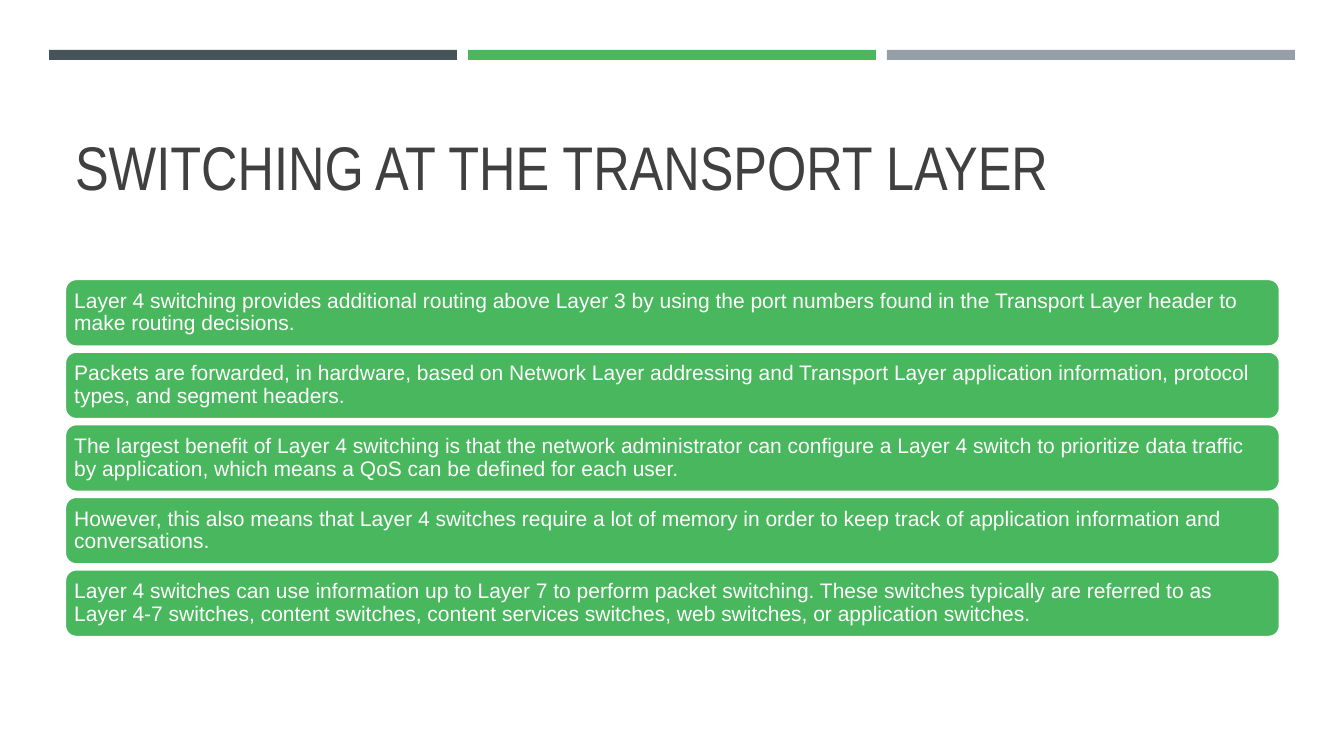
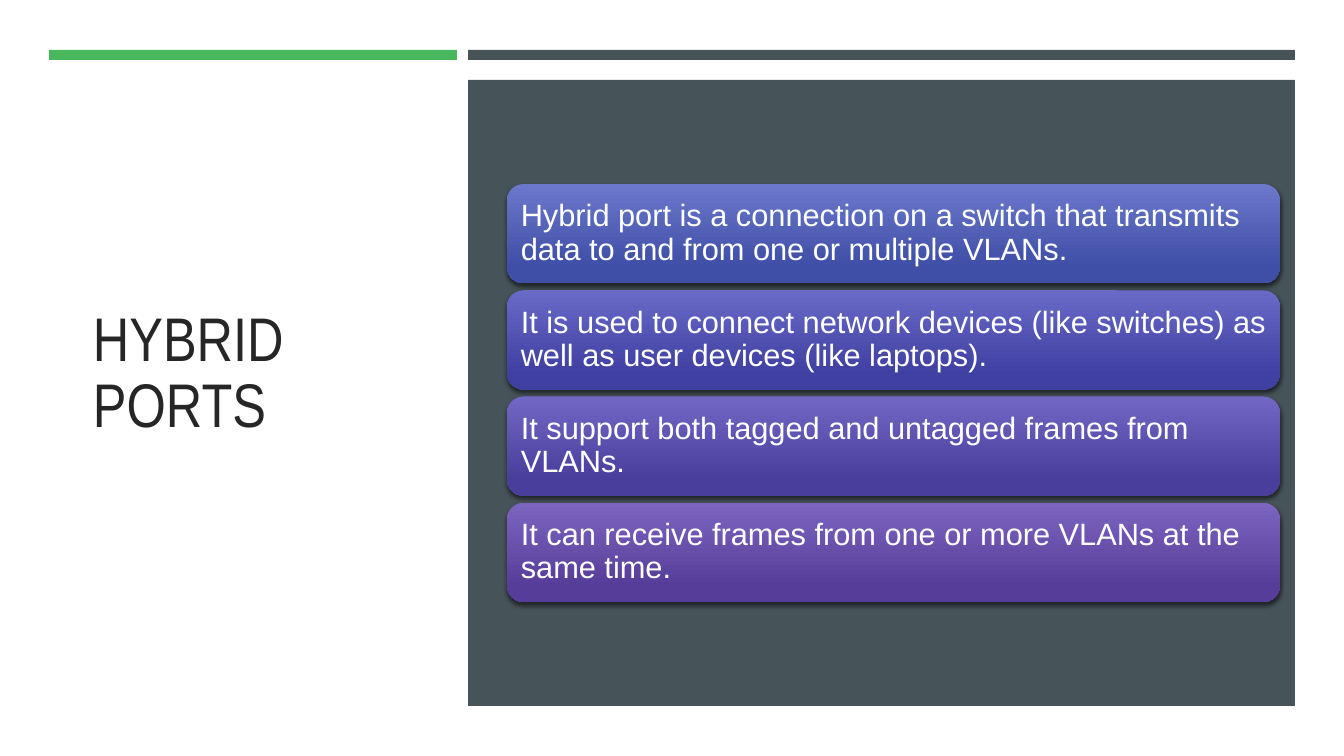
from pptx import Presentation
from pptx.dml.color import RGBColor
from pptx.enum.shapes import MSO_SHAPE
from pptx.enum.text import MSO_ANCHOR, MSO_AUTO_SIZE, PP_ALIGN
from pptx.oxml import parse_xml
from pptx.oxml.ns import nsdecls
from pptx.util import Emu, Pt

WHITE = RGBColor(0xFF, 0xFF, 0xFF)
SLATE = RGBColor(0x46, 0x53, 0x59)
GREEN = RGBColor(0x48, 0xB7, 0x5D)
GREY = RGBColor(0x96, 0x9F, 0xA7)
DARK = RGBColor(0x40, 0x40, 0x40)
INK = RGBColor(0x26, 0x26, 0x26)

LAYERS = [
    "Layer 4 switching provides additional routing above Layer 3 by using the port numbers found in the Transport Layer header to make routing decisions.",
    "Packets are forwarded, in hardware, based on Network Layer addressing and Transport Layer application information, protocol types, and segment headers.",
    "The largest benefit of Layer 4 switching is that the network administrator can configure a Layer 4 switch to prioritize data traffic by application, which means a QoS can be defined for each user.",
    "However, this also means that Layer 4 switches require a lot of memory in order to keep track of application information and conversations.",
    "Layer 4 switches can use information up to Layer 7 to perform packet switching. These switches typically are referred to as Layer 4-7 switches, content switches, content services switches, web switches, or application switches.",
]
PORTS = [
    ("Hybrid port is a connection on a switch that transmits data to and from one or multiple VLANs.", "6B78CC", "3F4EA6"),
    ("It is used to connect network devices (like switches) as well as user devices (like laptops).", "6969C8", "3F40A1"),
    ("It support both tagged and untagged frames from VLANs.", "7267C4", "4A3E9D"),
    ("It can receive frames from one or more VLANs at the same time.", "7C65C0", "563D99"),
]

WIDE, HIGH = 1344, 756
LEFT, RIGHT, GAP = 49, 1295, 11
COL = (RIGHT - LEFT - 2 * GAP) / 3


def px(size):
    return Emu(round(size * 914400 / 100.8))


def write(shape, text, font="Arial", size=15, color=WHITE, inset=(10, 5),
          anchor=MSO_ANCHOR.MIDDLE):
    frame = shape.text_frame
    frame.text = text
    frame.word_wrap = True
    frame.auto_size = MSO_AUTO_SIZE.NONE
    frame.vertical_anchor = anchor
    frame.margin_left = frame.margin_right = px(inset[0])
    frame.margin_top = frame.margin_bottom = px(inset[1])
    para = frame.paragraphs[0]
    para.alignment = PP_ALIGN.LEFT
    para.line_spacing = 0.9
    para.font.name, para.font.size = font, Pt(size)
    para.font.color.rgb = color


def block(slide, box, fill, kind=MSO_SHAPE.RECTANGLE):
    """Add a shape without line or shadow; a pair of colours fades downwards."""
    shape = slide.shapes.add_shape(kind, *map(px, box))
    shape.shadow.inherit = False
    shape.line.fill.background()
    if isinstance(fill, RGBColor):
        shape.fill.solid()
        shape.fill.fore_color.rgb = fill
    else:
        shape.fill.gradient()
        shape.fill.gradient_angle = 270
        for stop, color, place in zip(shape.fill.gradient_stops, fill, (0, 0.84)):
            stop.color.rgb, stop.position = color, place
    return shape


def start(deck, title, box, bands, **style):
    """Add a slide with its title and top bands, given as (colour, columns)."""
    slide = deck.slides.add_slide(deck.slide_layouts[5])
    head = slide.shapes.title
    head.left, head.top, head.width, head.height = map(px, box)
    write(head, title, font="Arial Narrow", size=44, **style)
    left = LEFT
    for color, span in bands:
        width = span * (COL + GAP) - GAP
        block(slide, (left, 50, width, 10), color)
        left += width + GAP
    return slide


def stack(slide, rows, box, gap, **style):
    """Fill the box with equal rounded bars, one for each (text, fill)."""
    left, top, width, height = box
    tall = (height + gap) / len(rows) - gap
    bars = []
    for i, (text, fill) in enumerate(rows):
        spot = (left, top + i * (tall + gap), width, tall)
        bar = block(slide, spot, fill, MSO_SHAPE.ROUNDED_RECTANGLE)
        write(bar, text, **style)
        bars.append(bar)
    return bars


def shade(shape):
    """Cast a soft black shadow straight down."""
    effects = shape.element.spPr.find("{*}effectLst")
    effects.append(parse_xml(
        f'<a:outerShdw {nsdecls("a")} blurRad="{Pt(3)}" dist="{Pt(2)}" '
        'dir="5400000" rotWithShape="0"><a:srgbClr val="000000">'
        '<a:alpha val="55000"/></a:srgbClr></a:outerShdw>'))


def main():
    deck = Presentation()
    deck.slide_width, deck.slide_height = px(WIDE), px(HIGH)

    slide = start(deck, "SWITCHING AT THE TRANSPORT LAYER", (65, 78, 1215, 131),
                  [(SLATE, 1), (GREEN, 1), (GREY, 1)],
                  color=DARK, anchor=MSO_ANCHOR.BOTTOM)
    rows = [(text, GREEN) for text in LAYERS]
    for bar in stack(slide, rows, (65, 279, 1215, 358), 5, inset=(6, 6)):
        bar.line.color.rgb, bar.line.width = WHITE, Pt(1.75)

    slide = start(deck, "HYBRID PORTS", (83, 115, 337, 519),
                  [(GREEN, 1), (SLATE, 2)], color=INK)
    left = LEFT + COL + GAP
    block(slide, (left, 80, RIGHT - left, 626), SLATE)
    rows = [(text, tuple(map(RGBColor.from_string, fade))) for text, *fade in PORTS]
    for bar in stack(slide, rows, (507, 184, 773, 418), 7, size=22, inset=(9, 9)):
        shade(bar)

    deck.save("out.pptx")


if __name__ == "__main__":
    main()
